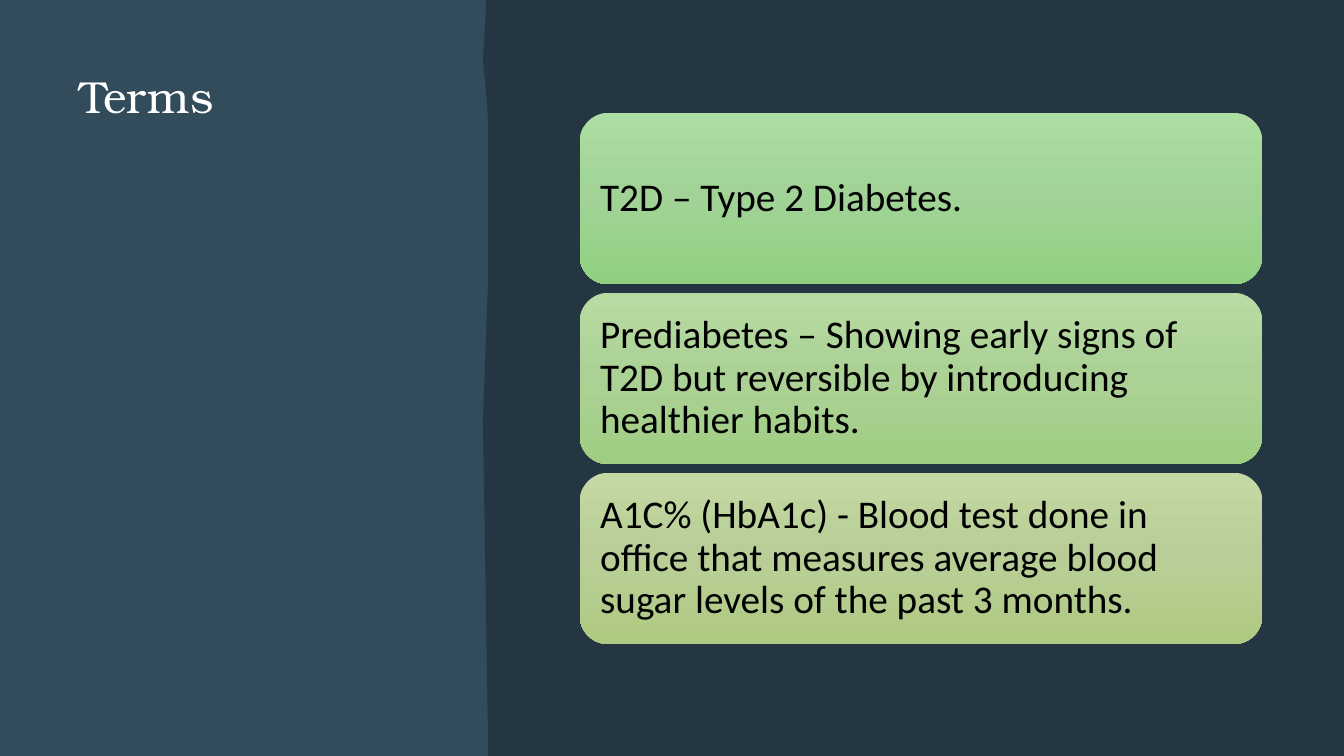
import copy
import pptx
import pptx.util
import pptx.dml.color
import pptx.enum.shapes
import pptx.enum.text
import pptx.oxml.ns

Inches = pptx.util.Inches
Pt = pptx.util.Pt
RGB = pptx.dml.color.RGBColor.from_string
SHAPES = pptx.enum.shapes.MSO_SHAPE
ANCHOR = pptx.enum.text.MSO_ANCHOR
ALIGN = pptx.enum.text.PP_ALIGN

COLORS = {"night": "243641", "slate": "334C5B", "title": "FFFFFF", "term": "000000"}
TERMS = [
    ("T2D – Type 2 Diabetes.", ("ACDDA2", "A0D395", "90D181")),
    ("Prediabetes – Showing early signs of T2D but reversible by introducing healthier habits.",
     ("B7DBA2", "ACD195", "9FCE82")),
    ("A1C% (HbA1c) - Blood test done in office that measures average blood sugar levels of the past 3 months.",
     ("C3D8A2", "B8CE96", "AFCA82")),
]
TORN_EDGE = [(13.33, 0), (13.33, 7.5), (4.84, 7.5), (4.84, 7.29), (4.79, 4.17),
             (4.84, 2.81), (4.84, 1.18), (4.83, 1.0), (4.79, 0.6), (4.82, 0.11)]


def fill_plain(shape, color):
    shape.shadow.inherit = False
    shape.fill.solid()
    shape.fill.fore_color.rgb = RGB(COLORS[color])
    shape.line.fill.background()


deck = pptx.Presentation()
deck.slide_width, deck.slide_height = Inches(13.33), Inches(7.5)
slide = deck.slides.add_slide(deck.slide_layouts[5])
slide.background.fill.solid()
slide.background.fill.fore_color.rgb = RGB(COLORS["night"])

title_panel = slide.shapes.add_shape(SHAPES.RECTANGLE, 0, 0, deck.slide_width, deck.slide_height)
fill_plain(title_panel, "slate")
slide.shapes.element.insert(2, title_panel.element)

title = slide.shapes.title
title.left, title.top, title.width, title.height = (Inches(n) for n in (0.79, 0.68, 3.4, 6.03))
title.text = "Terms"
title_frame = title.text_frame
title_frame.margin_left = title_frame.margin_right = 0
title_frame.margin_top = title_frame.margin_bottom = 0
title_frame.vertical_anchor = ANCHOR.TOP
title_frame.word_wrap = True
heading = title_frame.paragraphs[0]
heading.alignment = ALIGN.LEFT
heading.font.size = Pt(32)
heading.font.name = "TeX Gyre Bonum"
heading.font.color.rgb = RGB(COLORS["title"])

edge_builder = slide.shapes.build_freeform(Inches(4.82), 0)
edge_builder.add_line_segments([(Inches(x), Inches(y)) for x, y in TORN_EDGE], close=True)
fill_plain(edge_builder.convert_to_shape(), "night")

for row, (definition, gradient) in enumerate(TERMS):
    card = slide.shapes.add_shape(SHAPES.ROUNDED_RECTANGLE, Inches(5.75),
                                  Inches(1.12 + row * 1.785), Inches(6.77), Inches(1.7))
    card.shadow.inherit = False
    card.line.fill.background()
    card.fill.gradient()
    card.fill.gradient_angle = 270
    stop_list = card.element.spPr.find(".//" + pptx.oxml.ns.qn("a:gsLst"))
    stop_list.insert(1, copy.deepcopy(stop_list[0]))
    for stop, position, color in zip(card.fill.gradient_stops, (0, 0.5, 1), gradient):
        stop.position = position
        stop.color.rgb = RGB(color)

    frame = card.text_frame
    frame.word_wrap = True
    frame.vertical_anchor = ANCHOR.MIDDLE
    frame.margin_left = frame.margin_right = Inches(0.12)
    frame.margin_top = frame.margin_bottom = Inches(0.12)
    term = frame.paragraphs[0]
    term.text = definition
    term.alignment = ALIGN.LEFT
    term.line_spacing = 0.9
    term.font.size = Pt(28)
    term.font.name = "Calibri"
    term.font.color.rgb = RGB(COLORS["term"])

deck.save("out.pptx")
